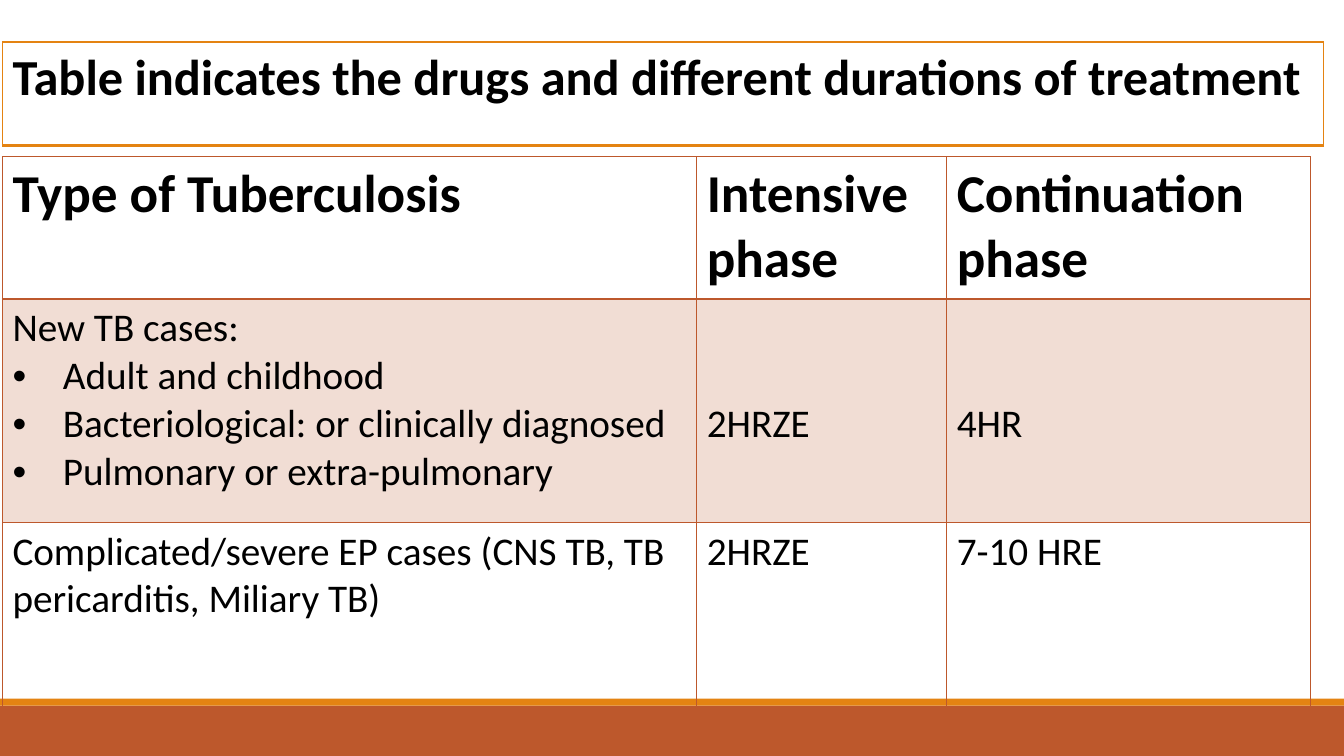
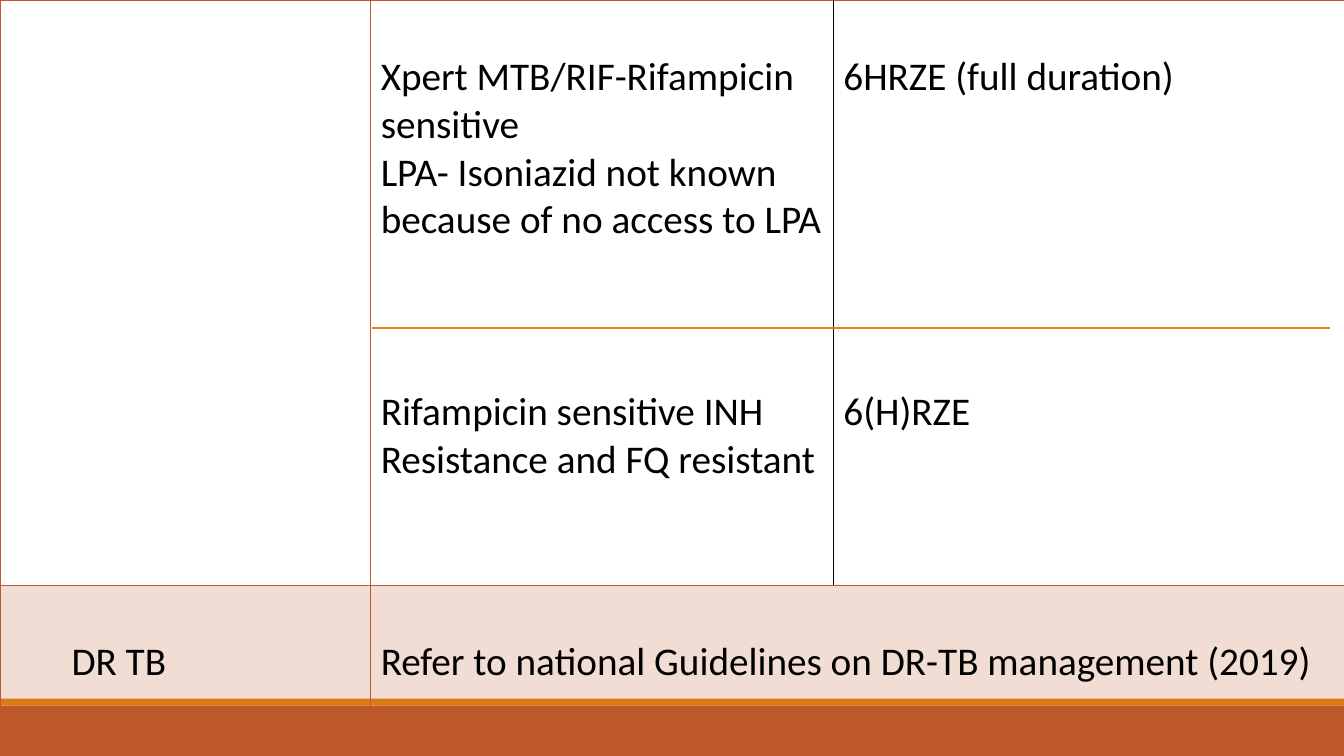
from dataclasses import dataclass

from lxml.etree import SubElement
from pptx import Presentation
from pptx.dml.color import RGBColor
from pptx.enum.shapes import MSO_CONNECTOR, MSO_SHAPE
from pptx.enum.text import MSO_ANCHOR
from pptx.oxml import parse_xml
from pptx.oxml.ns import nsdecls, qn
from pptx.util import Emu, Inches, Pt

BLACK = RGBColor(0x00, 0x00, 0x00)
RUST = RGBColor(0xBD, 0x58, 0x2C)
ORANGE = RGBColor(0xE4, 0x83, 0x12)
FONT = "Calibri"
SLIDE_WIDTH = Inches(13.33)
SLIDE_HEIGHT = Inches(7.5)
BODY_SIZE = 28
HEADER_SIZE = 38
TITLE_SIZE = 36
LINE_HEIGHT = 34.2
TINT_PERCENT = 20
CELL_INSET = Inches(0.1)
CELL_TOP = Inches(0.05)
BULLET_INDENT = Inches(0.5)


@dataclass(frozen=True)
class Line:
    text: str
    bullet: bool = False
    lines_before: int = 0


@dataclass(frozen=True)
class Edge:
    color: RGBColor = RUST
    width: float = 1


@dataclass(frozen=True)
class Entry:
    lines: tuple[Line, ...] = ()
    lines_above: int = 0
    left: int = CELL_INSET
    span: int = 1
    size: float = BODY_SIZE
    bold: bool = False
    tinted: bool = False
    left_edge: Edge = Edge()
    right_edge: Edge = Edge()
    top_edge: Edge = Edge()
    bottom_edge: Edge = Edge()


@dataclass(frozen=True)
class Grid:
    left: float
    top: float
    columns: tuple[float, ...]
    rows: tuple[float, ...]
    entries: tuple[tuple[Entry, ...], ...]
    has_header: bool = False


@dataclass(frozen=True)
class Band:
    top: float
    height: float
    color: RGBColor


BANDS = (Band(93.33, 6.67, RUST), Band(92.4, 0.93, ORANGE))
THICK = Edge(width=2)
THIN_BLACK = Edge(BLACK, 0.5)
TITLE_EDGE = Edge(ORANGE)


def across(percent: float) -> Emu:
    return Emu(round(SLIDE_WIDTH * percent / 100))


def down(percent: float) -> Emu:
    return Emu(round(SLIDE_HEIGHT * percent / 100))


def header(text: str) -> Entry:
    return Entry((Line(text),), size=HEADER_SIZE, bold=True, bottom_edge=THICK)


TITLE = Grid(
    0.18, 5.55, (98.27,), (13.73,),
    ((Entry((Line("Table indicates the drugs and different durations of treatment"),),
            size=TITLE_SIZE, bold=True, left_edge=TITLE_EDGE, right_edge=TITLE_EDGE,
            top_edge=TITLE_EDGE, bottom_edge=Edge(ORANGE, 2)),),),
    has_header=True,
)

PHASES = Grid(
    0.18, 20.75, (51.66, 18.6, 27.08), (18.8, 29.6, 25.33),
    (
        tuple(header(text) for text in
              ("Type of Tuberculosis", "Intensive phase", "Continuation phase")),
        (
            Entry((Line("New TB cases:"),
                   Line("Adult and childhood", bullet=True),
                   Line("Bacteriological: or clinically diagnosed", bullet=True),
                   Line("Pulmonary or extra-pulmonary", bullet=True)),
                  tinted=True, top_edge=THICK),
            Entry((Line("2HRZE"),), lines_above=2, tinted=True, top_edge=THICK),
            Entry((Line("4HR"),), lines_above=2, tinted=True, top_edge=THICK),
        ),
        (
            Entry((Line("Complicated/severe EP cases (CNS TB, TB pericarditis, Miliary TB)"),)),
            Entry((Line("2HRZE"),)),
            Entry((Line("7-10 HRE"),)),
        ),
    ),
    has_header=True,
)

RESISTANCE = Grid(
    0, 0, (27.58, 34.43, 38.56), (77.43, 16.53),
    (
        (
            Entry(),
            Entry((Line("Xpert MTB/RIF-Rifampicin sensitive"),
                   Line("LPA- Isoniazid not known because of no access to LPA"),
                   Line("Rifampicin sensitive INH", lines_before=3),
                   Line("Resistance and FQ resistant")),
                  lines_above=1, right_edge=THIN_BLACK),
            Entry((Line("6HRZE (full duration)"), Line("6(H)RZE", lines_before=6)),
                  lines_above=1, left_edge=THIN_BLACK),
        ),
        (
            Entry((Line("DR TB"),), lines_above=1, left=Inches(0.71), tinted=True),
            Entry((Line("Refer to national Guidelines on DR-TB management (2019)"),),
                  lines_above=1, span=2, tinted=True),
        ),
    ),
)


def add_span(para, text: str, size: float, bold: bool) -> None:
    span = para.add_run()
    span.text = text
    span.font.name = FONT
    span.font.size = Pt(size)
    span.font.bold = bold
    span.font.color.rgb = BLACK


def add_bullet(para) -> None:
    properties = para._p.get_or_add_pPr()
    properties.set("marL", str(BULLET_INDENT))
    properties.set("indent", str(-BULLET_INDENT))
    SubElement(properties, qn("a:buFont")).set("typeface", "Arial")
    SubElement(properties, qn("a:buChar")).set("char", "•")


def set_edges(cell, entry: Entry) -> None:
    properties = cell._tc.get_or_add_tcPr()
    edges = (("lnL", entry.left_edge), ("lnR", entry.right_edge),
             ("lnT", entry.top_edge), ("lnB", entry.bottom_edge))
    for position, (tag, edge) in enumerate(edges):
        properties.insert(position, parse_xml(
            f'<a:{tag} {nsdecls("a")} w="{Pt(edge.width)}"><a:solidFill>'
            f'<a:srgbClr val="{edge.color}"/></a:solidFill></a:{tag}>'))


def set_fill(cell, tinted: bool) -> None:
    if not tinted:
        cell.fill.background()
        return
    cell.fill.solid()
    cell.fill.fore_color.rgb = RUST
    color = cell._tc.tcPr.find(".//" + qn("a:srgbClr"))
    SubElement(color, qn("a:alpha")).set("val", str(TINT_PERCENT * 1000))


def fill_cell(cell, entry: Entry) -> None:
    cell.margin_left = entry.left
    cell.margin_right = CELL_INSET
    cell.margin_top = CELL_TOP + Pt(entry.lines_above * LINE_HEIGHT)
    cell.margin_bottom = CELL_TOP
    cell.vertical_anchor = MSO_ANCHOR.TOP
    set_fill(cell, entry.tinted)
    set_edges(cell, entry)
    frame = cell.text_frame
    for index, line in enumerate(entry.lines):
        para = frame.add_paragraph() if index else frame.paragraphs[0]
        if line.lines_before:
            para.space_before = Pt(line.lines_before * LINE_HEIGHT)
        if line.bullet:
            add_bullet(para)
        add_span(para, line.text, entry.size, entry.bold)


def add_grid(page, grid: Grid) -> None:
    table = page.shapes.add_table(
        len(grid.rows), len(grid.columns), across(grid.left), down(grid.top),
        across(sum(grid.columns)), down(sum(grid.rows))).table
    table.first_row = grid.has_header
    table.horz_banding = False
    for column, width in zip(table.columns, grid.columns):
        column.width = across(width)
    for row, height in zip(table.rows, grid.rows):
        row.height = down(height)
    for row_index, entries in enumerate(grid.entries):
        column_index = 0
        for entry in entries:
            cell = table.cell(row_index, column_index)
            last = column_index + entry.span - 1
            if entry.span > 1:
                cell.merge(table.cell(row_index, last))
            fill_cell(cell, entry)
            column_index = last + 1


def add_master_bands(deck, page) -> None:
    for number, band in enumerate(BANDS, 101):
        box = page.shapes.add_shape(MSO_SHAPE.RECTANGLE, 0, down(band.top),
                                    SLIDE_WIDTH, down(band.height))
        box.shadow.inherit = False
        box.fill.solid()
        box.fill.fore_color.rgb = band.color
        box.line.fill.background()
        box.name = f"Footer band {number - 100}"
        box.element.find(".//" + qn("p:cNvPr")).set("id", str(number))
        deck.slide_master.shapes.element.append(box.element)


def add_divider(page, left: float, right: float, top: float) -> None:
    divider = page.shapes.add_connector(
        MSO_CONNECTOR.STRAIGHT, across(left), down(top), across(right), down(top))
    divider.line.color.rgb = ORANGE
    divider.line.width = Pt(1.5)
    SubElement(divider.element.spPr, qn("a:effectLst"))


def main() -> None:
    deck = Presentation()
    deck.slide_width = SLIDE_WIDTH
    deck.slide_height = SLIDE_HEIGHT
    blank_layout = deck.slide_layouts[6]

    phases_page = deck.slides.add_slide(blank_layout)
    add_master_bands(deck, phases_page)
    add_grid(phases_page, PHASES)
    add_grid(phases_page, TITLE)

    resistance_page = deck.slides.add_slide(blank_layout)
    add_grid(resistance_page, RESISTANCE)
    add_divider(resistance_page, 27.68, 98.95, 43.4)

    deck.save("out.pptx")


if __name__ == "__main__":
    main()
